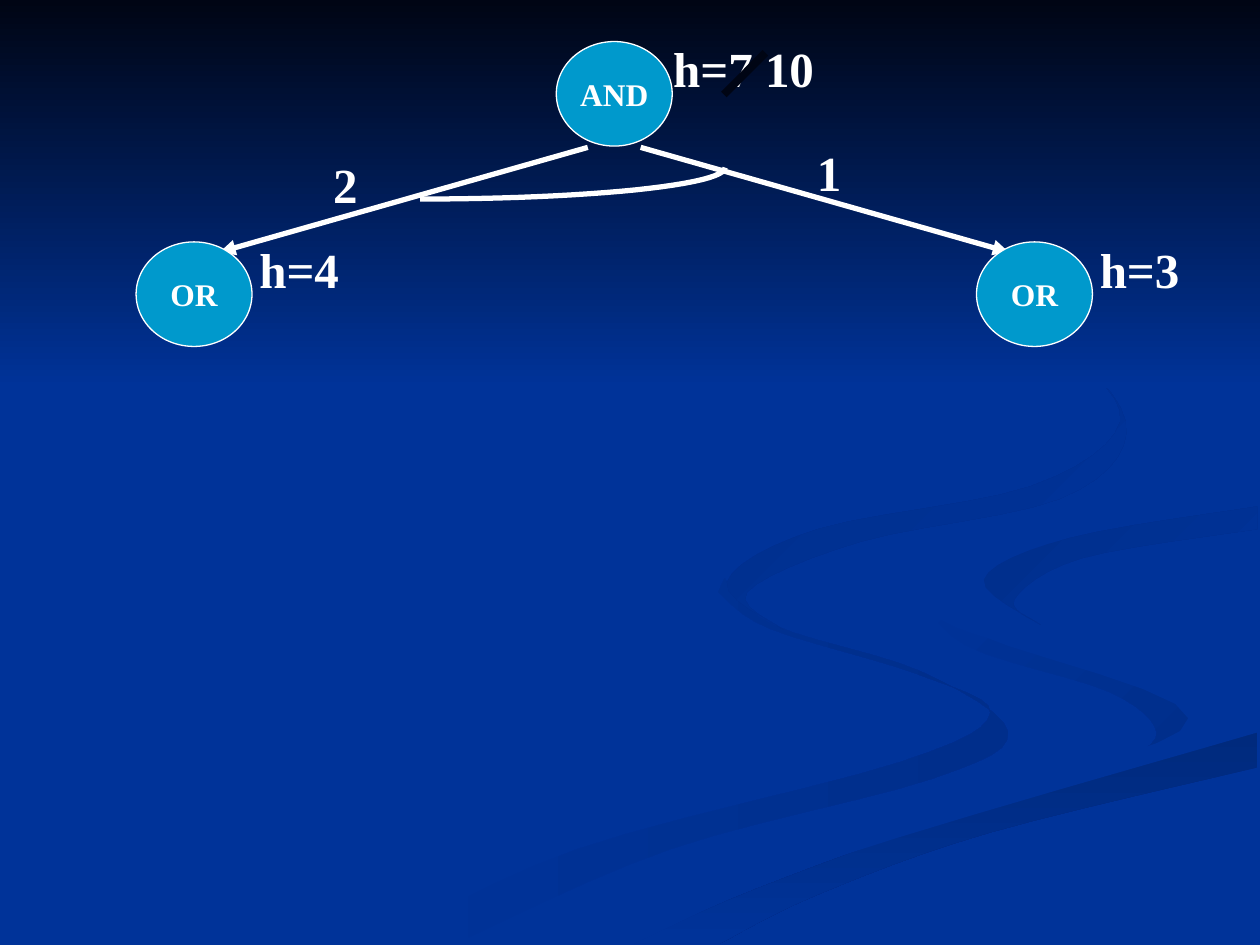
from dataclasses import dataclass
from math import cos, pi, sin

from lxml import etree
from pptx import Presentation
from pptx.dml.color import RGBColor
from pptx.enum.shapes import MSO_CONNECTOR, MSO_SHAPE
from pptx.enum.text import MSO_ANCHOR, MSO_AUTO_SIZE, PP_ALIGN
from pptx.oxml.ns import qn
from pptx.util import Inches, Pt

LINE = MSO_CONNECTOR.STRAIGHT
CIRCLE = MSO_SHAPE.FLOWCHART_CONNECTOR
BLOCK = MSO_SHAPE.RECTANGLE
MIDDLE = MSO_ANCHOR.MIDDLE
GROW = MSO_AUTO_SIZE.SHAPE_TO_FIT_TEXT
CENTER, LEFT = PP_ALIGN.CENTER, PP_ALIGN.LEFT


@dataclass(frozen=True)
class Theme:
    font: str = "Times New Roman"
    back: str = "003399"
    dark: str = "000514"
    node: str = "0099CC"
    white: str = "FFFFFF"
    shade: str = "002E8B"
    deep: str = "002A7D"
    small: int = 18
    large: int = 28


THEME = Theme()
NODE_W, NODE_H = 0.92, 0.83

RIBBONS = [
    (THEME.back, THEME.shade, 0,
     [(5.75, 4.59), (6.14, 4.96), (7.31, 5.33), (8, 5.81), (7.4, 6.18), (5.32, 6.74), (3.61, 7.49)],
     [(3, 7.49), (4.58, 6.74), (7.14, 6.05), (7.86, 5.66), (7.28, 5.35), (6.11, 4.99), (5.7, 4.7)]),
    (THEME.back, THEME.shade, 45,
     [(7.24, 4.64), (7.58, 4.98), (8.88, 5.35), (9.43, 5.7), (8.94, 6.05)],
     [(8.94, 6.05), (9.18, 5.81), (8.8, 5.49), (7.66, 5.12), (7.24, 4.64)]),
    (THEME.deep, THEME.back, 90,
     [(5.03, 7.49), (5.99, 7.06), (7.64, 6.47), (9.98, 5.81)],
     [(9.98, 6.09), (7.85, 6.61), (6.49, 7.1), (5.71, 7.49)]),
    (THEME.back, THEME.back, 0,
     [(9.99, 3.87), (8.3, 4.15), (7.25, 4.64), (7.75, 5.03), (9.43, 5.7), (7.8, 6.34), (4.77, 7.49)],
     [(5.03, 7.49), (6.62, 6.81), (9.99, 5.81)],
     [(9.99, 5.38), (8.48, 5.03), (7.81, 4.63), (8.5, 4.27), (9.99, 4.02)]),
    (THEME.shade, THEME.back, 45,
     [(9.98, 4.02), (8.49, 4.27), (7.81, 4.6), (8.26, 4.96)],
     [(8.26, 4.96), (8.05, 4.76), (8.59, 4.43), (9.98, 4.2)]),
    (THEME.shade, THEME.back, 45,
     [(7.62, 2.33), (8.54, 2.83), (8.94, 3.44), (8.41, 3.96), (6.83, 4.3), (5.93, 4.7), (6.22, 5)],
     [(6.22, 5), (5.77, 4.62), (6.49, 4.2), (8.18, 3.86), (8.89, 3.35), (8.46, 2.79), (7.62, 2.33)]),
]


def rgb(code):
    return RGBColor.from_string(code)


def blend(a, b, c, d, t):
    return (2 * b + (c - a) * t + (2 * a - 5 * b + 4 * c - d) * t ** 2
            + (3 * b - a - 3 * c + d) * t ** 3) / 2


def smooth(knots, steps=6):
    ends = [knots[0], *knots, knots[-1]]
    curve = [tuple(blend(*axis, i / steps) for axis in zip(*ends[k:k + 4]))
             for k in range(len(knots) - 1) for i in range(steps)]
    return curve + [knots[-1]]


def outline(slide, points, close):
    spots = [(Inches(x), Inches(y)) for x, y in points]
    path = slide.shapes.build_freeform(*spots[0], scale=1.0)
    path.add_line_segments(spots[1:], close=close)
    shape = path.convert_to_shape()
    shape.shadow.inherit = False
    return shape


def shade(shape, first, last, angle):
    shape.line.fill.background()
    shape.fill.gradient()
    shape.fill.gradient_angle = -angle % 360
    for stop, color in zip(shape.fill.gradient_stops, (first, last)):
        stop.color.rgb = rgb(color)


def backdrop(slide):
    fill = slide.background.fill
    fill.solid()
    fill.fore_color.rgb = rgb(THEME.back)
    for first, last, angle, *edges in RIBBONS:
        points = [spot for edge in edges for spot in smooth(edge)]
        shade(outline(slide, points, True), first, last, angle)
    sky = slide.shapes.add_shape(BLOCK, 0, 0, Inches(10), Inches(3.08))
    sky.shadow.inherit = False
    shade(sky, THEME.dark, THEME.back, 90)


def write(shape, text, size, align):
    frame = shape.text_frame
    frame.word_wrap = False
    frame.text = text
    para = frame.paragraphs[0]
    para.alignment = align
    font = para.runs[0].font
    font.name, font.size, font.bold = THEME.font, Pt(size), True
    font.color.rgb = rgb(THEME.white)


def label(slide, x, y, width, text):
    box = slide.shapes.add_textbox(Inches(x), Inches(y), Inches(width), Inches(0.57))
    write(box, text, THEME.large, LEFT)
    box.text_frame.auto_size = GROW


def stroke(slide, start, end, color, width, arrow=False):
    line = slide.shapes.add_connector(LINE, *map(Inches, start + end))
    line.line.color.rgb = rgb(color)
    line.line.width = Pt(width)
    props = line._element.spPr
    if arrow:
        etree.SubElement(props.find(qn("a:ln")), qn("a:tailEnd"), type="triangle")
    etree.SubElement(props, qn("a:effectLst"))


def node(slide, x, y, name, note, gap=0.88, width=0.89):
    shape = slide.shapes.add_shape(
        CIRCLE, Inches(x), Inches(y), Inches(NODE_W), Inches(NODE_H))
    shape.shadow.inherit = False
    shape.fill.solid()
    shape.fill.fore_color.rgb = rgb(THEME.node)
    shape.line.color.rgb = rgb(THEME.white)
    shape.line.width = Pt(0.75)
    write(shape, name, THEME.small, CENTER)
    shape.text_frame.vertical_anchor = MIDDLE
    label(slide, x + gap, y - 0.07, width, note)


def arc(slide, x, y, width, height):
    steps = 24
    turns = [pi / 2 * (1 - i / steps) for i in range(steps + 1)]
    points = [(x + width * cos(t), y + height * sin(t)) for t in turns]
    shape = outline(slide, points, False)
    shape.fill.background()
    shape.line.color.rgb = rgb(THEME.white)
    shape.line.width = Pt(3)


def tree(slide, left, top, width):
    mid = left + width / 2
    base = top + 0.84
    node(slide, mid - NODE_W / 2, top, "AND", "h=7 10", 0.83, 1.43)
    for side in (-1, 1):
        stroke(slide, (mid + side * 0.21, base), (mid + side * 3.13, base + 0.83),
               THEME.white, 3, True)
    arc(slide, mid - 1.54, top + 1, 2.42, 0.25)
    for x, note in ((left, "h=4"), (left + width - NODE_W, "h=3")):
        node(slide, x, top + 1.59, "OR", note)
    label(slide, mid - 2.33, top + 0.85, 0.41, "2")
    label(slide, mid + 1.51, top + 0.75, 0.41, "1")
    stroke(slide, (mid + 0.87, top + 0.42), (mid + 1.2, top + 0.09), THEME.dark, 4.5)


def main():
    deck = Presentation()
    deck.slide_width, deck.slide_height = Inches(10), Inches(7.5)
    slide = deck.slides.add_slide(deck.slide_layouts[6])
    backdrop(slide)
    tree(slide, 1.08, 0.33, 7.59)
    deck.save("out.pptx")


if __name__ == "__main__":
    main()
